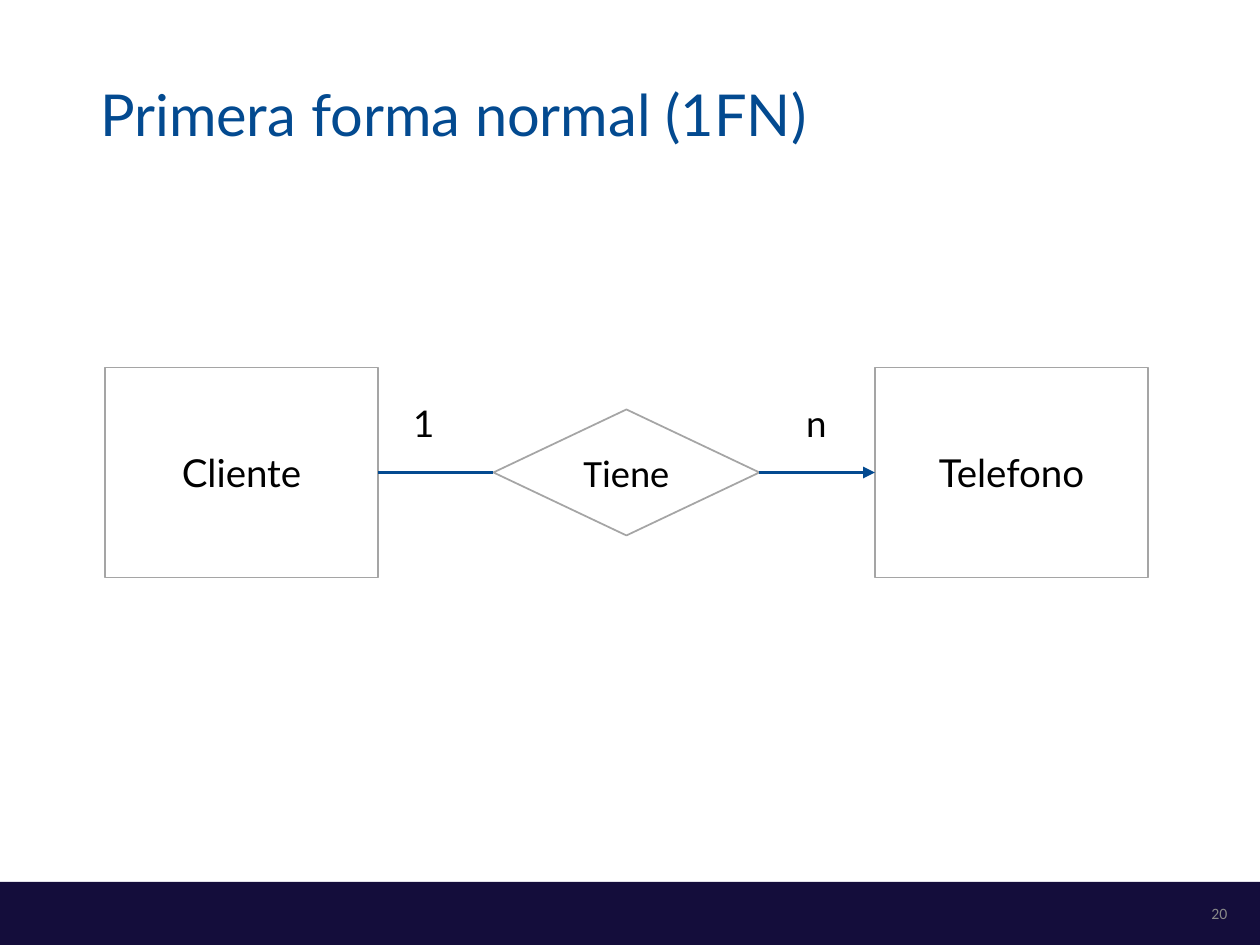
from dataclasses import dataclass

from lxml.etree import SubElement
from pptx import Presentation
from pptx.dml.color import RGBColor as RGB
from pptx.enum.shapes import MSO_CONNECTOR as CONN, MSO_SHAPE as SHAPE
from pptx.enum.text import MSO_ANCHOR as ANCHOR, MSO_AUTO_SIZE as FIT, PP_ALIGN as ALIGN
from pptx.oxml.ns import qn
from pptx.util import Pt


@dataclass(frozen=True)
class Theme:
    blue: RGB = RGB(0x03, 0x4A, 0x90)
    navy: RGB = RGB(0x14, 0x0D, 0x3B)
    grey: RGB = RGB(0xA5, 0xA5, 0xA5)
    muted: RGB = RGB(0x89, 0x89, 0x89)
    white: RGB = RGB(0xFF, 0xFF, 0xFF)
    black: RGB = RGB(0, 0, 0)
    font: str = "Lato"
    alt_font: str = "Calibri"
    title: float = 33
    node: float = 22
    label: float = 21
    number: float = 9


T = Theme()
WIDTH, HEIGHT = 720, 540
MID_Y = 270  # axis of the diagram


def place(sp, x, y, w, h):
    sp.left, sp.top, sp.width, sp.height = Pt(x), Pt(y), Pt(w), Pt(h)


def write(sp, text, size, color, align=ALIGN.LEFT, font=T.font, anchor=ANCHOR.MIDDLE):
    tf = sp.text_frame
    tf.text = text
    tf.word_wrap = True
    tf.vertical_anchor = anchor
    p = tf.paragraphs[0]
    p.alignment = align
    r = p.runs[0]
    r.font.size, r.font.name = Pt(size), font
    r.font.color.rgb = color
    return tf


def add_title(s, text):
    sp = s.shapes.title
    place(sp, 50, 28.8, 620, 72)
    write(sp, text, T.title, T.blue).auto_size = FIT.NONE


def add_box(s, kind, x, y, w, h, fill, line=None):
    sp = s.shapes.add_shape(kind, Pt(x), Pt(y), Pt(w), Pt(h))
    sp.shadow.inherit = False
    sp.fill.solid()
    sp.fill.fore_color.rgb = fill
    if line is None:
        sp.line.fill.background()
    else:
        sp.line.color.rgb = line
        sp.line.width = Pt(1)
    return sp


def add_node(s, kind, text, x, w, h, font=T.font):
    sp = add_box(s, kind, x, MID_Y - h / 2, w, h, T.white, T.grey)
    write(sp, text, T.node, T.black, ALIGN.CENTER, font)
    return sp


def add_link(s, start, end, arrow=False):
    """Join the right side of start to the left side of end."""
    cn = s.shapes.add_connector(CONN.STRAIGHT, 0, 0, 0, 0)
    cn.begin_connect(start, 3)
    cn.end_connect(end, 1)
    cn.line.color.rgb = T.blue
    cn.line.width = Pt(2.25)
    if arrow:
        SubElement(cn.line._get_or_add_ln(), qn("a:tailEnd"), type="triangle")
    SubElement(cn._element.spPr, qn("a:effectLst"))


def add_label(s, text, x):
    sp = s.shapes.add_textbox(Pt(x), Pt(225.4), Pt(26), Pt(33))
    tf = write(sp, text, T.label, T.black, anchor=ANCHOR.TOP)
    tf.word_wrap = False
    tf.auto_size = FIT.SHAPE_TO_FIT_TEXT


def add_footer(s, number):
    add_box(s, SHAPE.RECTANGLE, 0, HEIGHT - 36, WIDTH, 36, T.navy)
    sp = s.shapes.add_textbox(Pt(616), Pt(507.6), Pt(92.4), Pt(28.8))
    write(sp, number, T.number, T.muted, ALIGN.RIGHT, T.alt_font)


def main():
    prs = Presentation()
    prs.slide_width, prs.slide_height = Pt(WIDTH), Pt(HEIGHT)
    s = prs.slides.add_slide(prs.slide_layouts[5])

    # Title and footer
    add_title(s, "Primera forma normal (1FN)")
    add_footer(s, "20")

    # Entities and their relationship
    client = add_node(s, SHAPE.RECTANGLE, "Cliente", 60, 156, 120)
    phone = add_node(s, SHAPE.RECTANGLE, "Telefono", 500, 156, 120)
    has = add_node(s, SHAPE.DIAMOND, "Tiene", 282, 152, 72, T.alt_font)

    # Links with their cardinalities
    add_link(s, client, has)
    add_link(s, has, phone, arrow=True)
    add_label(s, "1", 229)
    add_label(s, "n", 453.6)

    prs.save("out.pptx")


if __name__ == "__main__":
    main()
